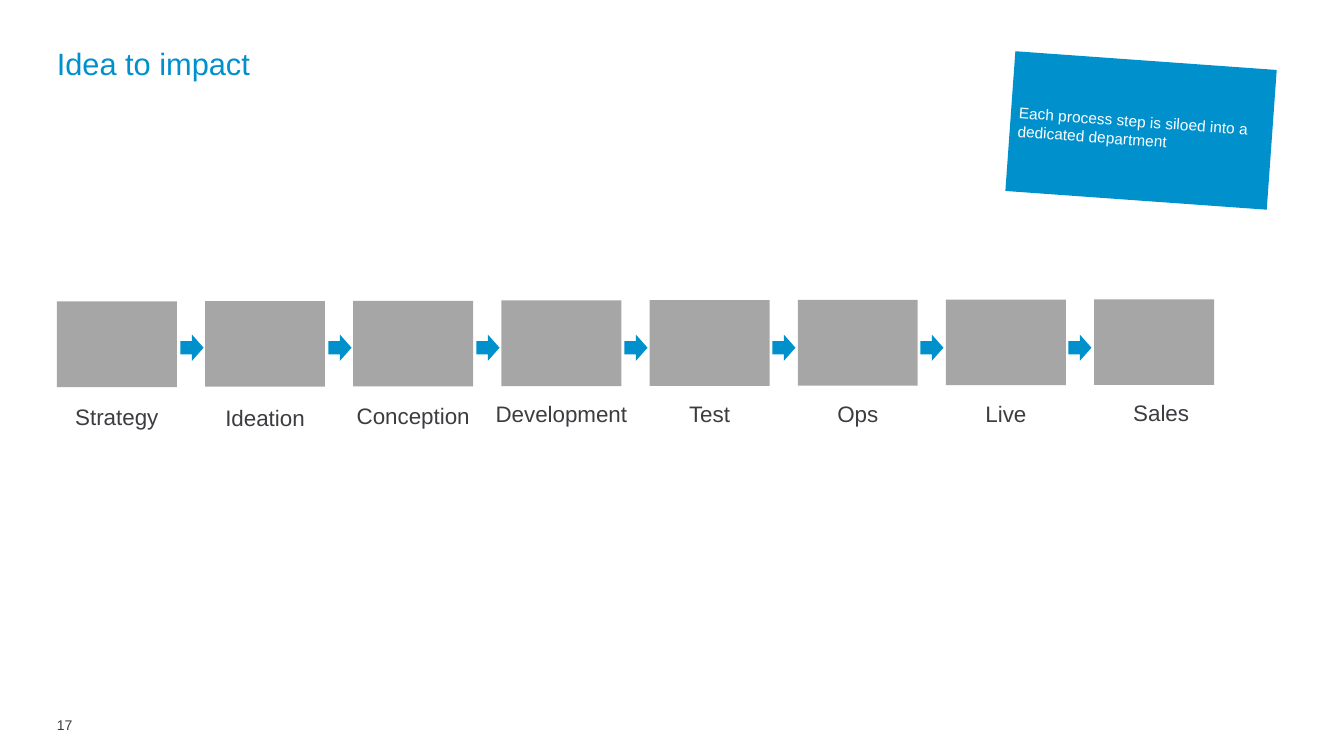
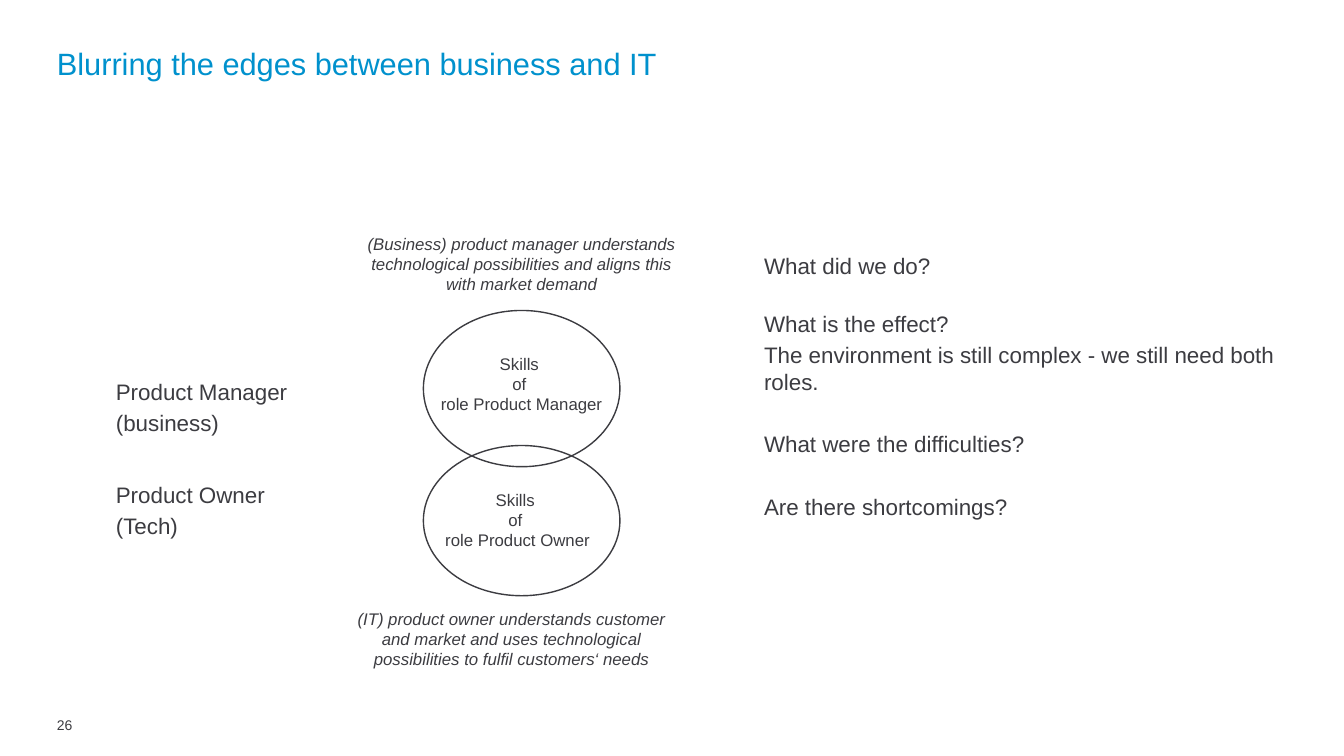
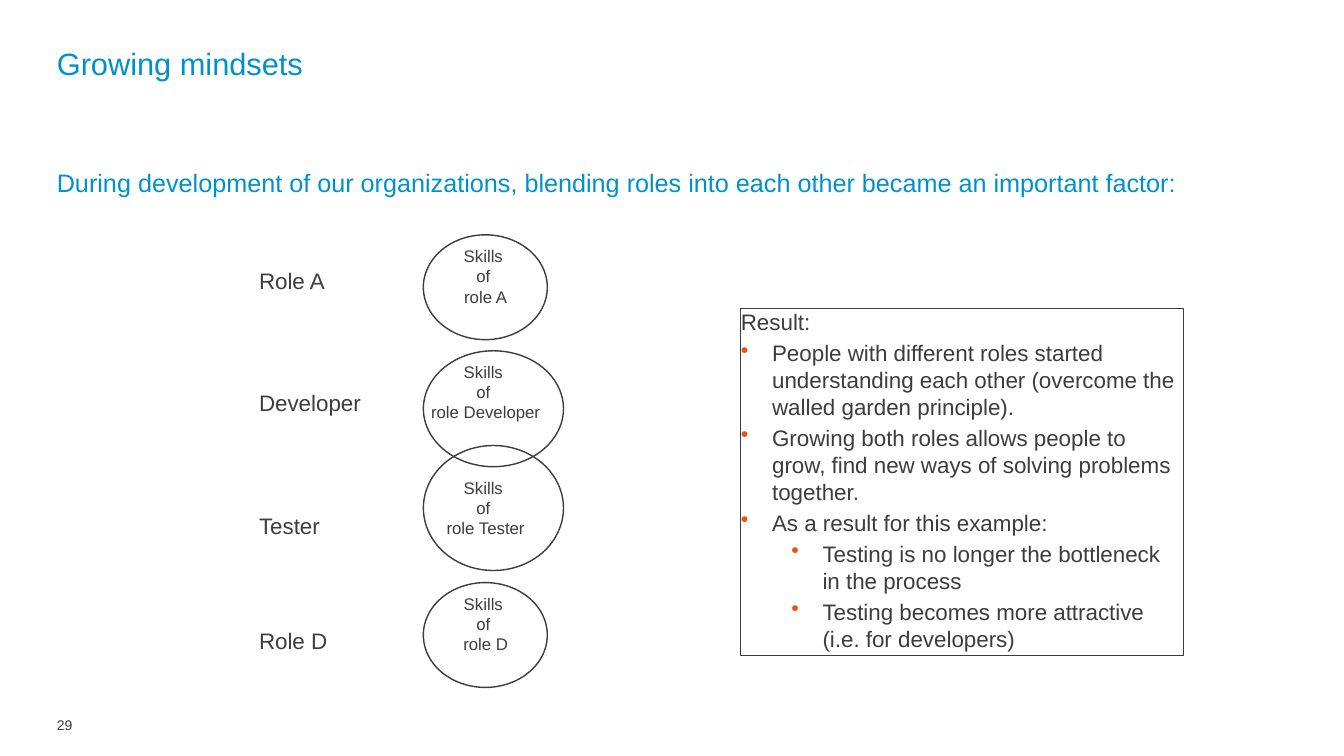
import pptx
import pptx.util
import pptx.dml.color
import pptx.enum.shapes
import pptx.enum.text
import pptx.oxml.ns
from lxml import etree

# Shared look; one grid unit is a tenth of an inch
UNIT = 0.1
WIDE, HIGH = 133.33, 75
BLUE, INK, GREY, WHITE, RUST = "0091CD", "3C3C41", "A6A6A6", "FFFFFF", "E9530E"
EDGE = 5.64
KIND = pptx.enum.shapes.MSO_SHAPE
ALIGN = pptx.enum.text.PP_ALIGN
ANCHOR = pptx.enum.text.MSO_ANCHOR

HEAD = {"size": 22, "color": BLUE}
LEAD = {"size": 18, "color": BLUE}
BODY = {"size": 16, "color": INK}
SMALL = {"size": 12, "color": INK}
NOTE = {"size": 12, "color": INK, "italic": True}
CARD = {"size": 11, "color": WHITE}
FOOT = {"size": 10, "color": INK}


def grid(value):
    return pptx.util.Inches(value * UNIT)


def tint(code):
    return pptx.dml.color.RGBColor.from_string(code)


def place(shape, box):
    for name, value in zip(("left", "top", "width", "height"), box):
        setattr(shape, name, grid(value))


def bullet(para, level):
    props = para._p.get_or_add_pPr()
    props.set("marL", str(grid(3.1 + 5 * level)))
    props.set("indent", str(grid(-3.1)))
    name = pptx.oxml.ns.qn
    color = etree.SubElement(props, name("a:buClr"))
    etree.SubElement(color, name("a:srgbClr"), val=RUST)
    etree.SubElement(props, name("a:buChar"), char="•")


def write(shape, lines, look, align=ALIGN.LEFT, anchor=ANCHOR.TOP, pad=0, gap=3):
    """Each line is text, or a tuple of text and a dict with gap or level."""
    frame = shape.text_frame
    traits = {"word_wrap": True, "auto_size": pptx.enum.text.MSO_AUTO_SIZE.NONE,
              "vertical_anchor": anchor}
    traits.update({"margin_" + side: grid(pad)
                   for side in ("left", "top", "right", "bottom")})
    for name, value in traits.items():
        setattr(frame, name, value)
    for i, line in enumerate(lines):
        text, extra = line if isinstance(line, tuple) else (line, {})
        para = frame.add_paragraph() if i else frame.paragraphs[0]
        form = {"text": text, "alignment": align, "line_spacing": 1.0,
                "space_before": pptx.util.Pt(extra.get("gap", gap) if i else 0)}
        if "level" in extra:
            form["level"] = extra["level"]
        for name, value in form.items():
            setattr(para, name, value)
        if "level" in extra:
            bullet(para, extra["level"])
        font = para.runs[0].font
        font.color.rgb = tint(look["color"])
        style = {"name": "Arial", "size": pptx.util.Pt(look["size"]),
                 "bold": False, "italic": look.get("italic", False)}
        for name, value in style.items():
            setattr(font, name, value)


def label(page, box, lines, look, **form):
    shape = page.shapes.add_textbox(*map(grid, box))
    write(shape, lines, look, **form)


def draw(page, kind, box, fill=None, line=None, weight=1):
    shape = page.shapes.add_shape(kind, *map(grid, box))
    shape.shadow.inherit = False
    for part, code in ((shape.fill, fill), (shape.line.fill, line)):
        if code:
            part.solid()
            part.fore_color.rgb = tint(code)
        else:
            part.background()
    if line:
        shape.line.width = pptx.util.Pt(weight)
    return shape


def start(deck, title, number):
    """Add a slide with its title and page number."""
    page = deck.slides.add_slide(deck.slide_layouts[5])
    place(page.shapes.title, (EDGE, 4.4, 122.1, 7.9))
    write(page.shapes.title, [title], HEAD)
    label(page, (EDGE, 70.9, 14.6, 2), [number], FOOT, anchor=ANCHOR.MIDDLE)
    return page


def skill(page, box, role, mid, top):
    """Outline an oval and centre its skill text on mid."""
    draw(page, KIND.OVAL, box, line=INK)
    label(page, (mid - 10, top, 20, 6.1), ["Skills ", "of ", "role " + role],
          SMALL, align=ALIGN.CENTER, gap=0)


def chain(page, box, steps):
    """Row of step boxes with arrows between and names below."""
    left, top, width, height = box
    pitch, cell = 14.7, 11.9
    for i, (name, drop, shift) in enumerate(steps):
        x = left + i * pitch
        draw(page, KIND.RECTANGLE, (x, top - 0.03 * i, cell, height), fill=GREY)
        label(page, (x - 1 + shift, top + drop, cell + 2, 2.7), [name], BODY,
              align=ALIGN.CENTER)
        if i < len(steps) - 1:
            draw(page, KIND.RIGHT_ARROW,
                 (left + 12.26 + i * 14.68, top + 3.3, 2.3, 2.6), fill=BLUE)


def impact(deck):
    page = start(deck, "Idea to impact", "17")
    steps = [("Strategy", 10.1, 0), ("Ideation", 10.2, 0), ("Conception", 10, 0),
             ("Development", 9.8, 0), ("Test", 9.8, 0), ("Ops", 9.8, 0),
             ("Live", 9.8, 0), ("Sales", 9.7, 0.7)]
    chain(page, (EDGE, 29.9, 114.8, 8.5), steps)
    # Tilted card
    card = draw(page, KIND.RECTANGLE, (100.2, 6, 26, 13.9), fill=BLUE)
    card.rotation = 4.1
    write(card, ["Each process step is siloed into a dedicated department"],
          CARD, anchor=ANCHOR.MIDDLE, pad=0.8)


def pair(page, box):
    """Two overlapping ovals with a note above and below."""
    left, top, width, height = box
    skill(page, (left, top, width, 15.5), "Product Manager", left + 9.75, top + 4.3)
    skill(page, (left, top + 13.4, width, 14.9), "Product Owner",
          left + 9.35, top + 17.8)
    notes = [
        (-6.2, -7.6, "(Business) product manager understands technological "
                     "possibilities and aligns this with market demand"),
        (-7.2, 29.6, "(IT) product owner understands customer and market and uses "
                     "technological possibilities to fulfil customers‘ needs")]
    for x, y, text in notes:
        label(page, (left + x, top + y, 31.9, 6.1), [text], NOTE, align=ALIGN.CENTER)


def edges(deck):
    page = start(deck, "Blurring the edges between business and IT", "26")
    pair(page, (42, 30.8, 19.5, 28.3))
    # Roles
    for top, role, side in ((37.5, "Product Manager", "(business)"),
                            (47.7, "Product Owner", "(Tech)")):
        label(page, (11.5, top, 20, 5.8), [role, side], BODY)
    # Questions
    label(page, (75.8, 25, 55.1, 26.8),
          ["What did we do?",
           ("What is the effect?", {"gap": 22.3}),
           "The environment is still complex - we still need both roles.",
           ("What were the difficulties?", {"gap": 25.3}),
           ("Are there shortcomings?", {"gap": 25.3})], BODY)


def stack(page, box, roles):
    """Column of role names, each with its oval."""
    left, top, width, height = box
    for i, (name, role, row, drop, wide, tall) in enumerate(roles):
        label(page, (left, top + row, 14, 2.7), [name], BODY)
        skill(page, (left + 16.3, top + drop, wide, tall), role,
              left + 22.48, top + 1.1 + 11.5 * i)


def result(page, box):
    frame = draw(page, KIND.RECTANGLE, box, line=INK, weight=0.75)
    points = [
        (0, "People with different roles started understanding each other "
            "(overcome the walled garden principle)."),
        (0, "Growing both roles allows people to grow, find new ways of solving "
            "problems together."),
        (0, "As a result for this example:"),
        (1, "Testing is no longer the bottleneck in the process"),
        (1, "Testing becomes more attractive (i.e. for developers)")]
    write(frame, ["Result:"] + [(text, {"level": level}) for level, text in points],
          BODY)


def minds(deck):
    page = start(deck, "Growing mindsets", "29")
    label(page, (EDGE, 16.6, 122, 4),
          ["During development of our organizations, blending roles into each "
           "other became an important factor:"], LEAD)
    roles = [("Role A", "A", 3.2, 0, 12.3, 10.4),
             ("Developer", "Developer", 15.3, 11.5, 13.9, 11.5),
             ("Tester", "Tester", 27.5, 20.9, 13.9, 12.4),
             ("Role D", "D", 38.9, 34.5, 12.3, 10.4)]
    stack(page, (25.7, 23.3, 30.2, 44.9), roles)
    result(page, (73.5, 30.6, 43.9, 34.4))


def main():
    deck = pptx.Presentation()
    deck.slide_width, deck.slide_height = grid(WIDE), grid(HIGH)
    for build in (impact, edges, minds):
        build(deck)
    deck.save("out.pptx")


if __name__ == "__main__":
    main()
